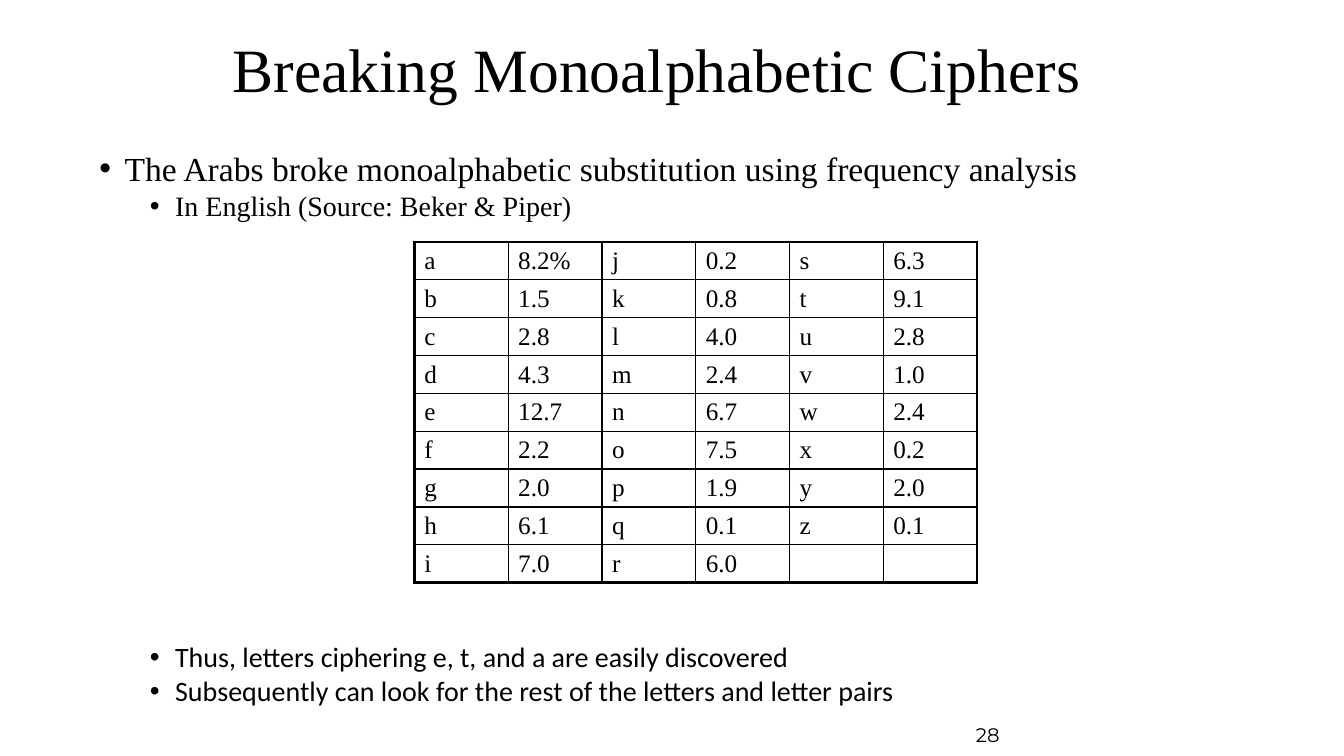
from pptx import Presentation
from pptx.dml.color import RGBColor as Rgb
from pptx.enum.text import MSO_ANCHOR as Anchor
from pptx.oxml import parse_xml
from pptx.oxml.ns import nsdecls
from pptx.util import Pt

INK = {"text": "000000", "line": "000000"}
SERIF, SANS, LABEL = "Times New Roman", "Calibri", "Montserrat"

# text, level, size, font, space before
POINTS = [
    ("The Arabs broke monoalphabetic substitution using frequency analysis",
     0, 24, SERIF, 10),
    ("In English (Source: Beker & Piper)", 1, 20, SERIF, 5),
    ("Thus, letters ciphering e, t, and a are easily discovered",
     1, 20, SANS, 303),
    ("Subsequently can look for the rest of the letters and letter pairs",
     1, 20, SANS, 5),
]
RATES = ("8.2% 1.5 2.8 4.3 12.7 2.2 2.0 6.1 7.0 "
         "0.2 0.8 4.0 2.4 6.7 7.5 1.9 0.1 6.0 "
         "6.3 9.1 2.8 1.0 2.4 0.2 2.0 0.1").split()
FREQS = list(zip("abcdefghijklmnopqrstuvwxyz", RATES))
ROWS, COLS = 9, 6


def style(par, size, face):
    font = par.font
    font.size, font.name = Pt(size), face
    font.color.rgb = Rgb.from_string(INK["text"])


def add_box(slide, box, anchor):
    frame = slide.shapes.add_textbox(*map(Pt, box)).text_frame
    frame.word_wrap = True
    frame.vertical_anchor = anchor
    return frame


def add_line(slide, box, text, size, face, spacing=1.0):
    """Place a single vertically centred line of text."""
    par = add_box(slide, box, Anchor.MIDDLE).paragraphs[0]
    par.text, par.line_spacing = text, spacing
    style(par, size, face)


def add_points(slide, box):
    frame = add_box(slide, box, Anchor.TOP)
    for i, (text, level, size, face, gap) in enumerate(POINTS):
        par = frame.add_paragraph() if i else frame.paragraphs[0]
        par.text, par.level = text, level
        par.line_spacing, par.space_before = 0.8, Pt(gap)
        style(par, size, face)
        props = par._p.get_or_add_pPr()
        props.set("marL", str(Pt(18 + 36 * level)))
        props.set("indent", str(Pt(-18)))
        marks = [f'<a:buFont {nsdecls("a")} typeface="Arial"/>',
                 f'<a:buChar {nsdecls("a")} char="•"/>']
        at = 2  # after line spacing and space before
        for mark in marks:
            props.insert(at, parse_xml(mark))
            at += 1


def add_edges(cell, row, col):
    """Draw thin cell borders, thick where they meet the table's rim."""
    rim = {"L": col == 0, "R": col == COLS - 1,
           "T": row == 0, "B": row == ROWS - 1}
    props = cell._tc.get_or_add_tcPr()
    for at, (side, thick) in enumerate(rim.items()):
        width = Pt(2.25 if thick else 1)
        props.insert(at, parse_xml(
            f'<a:ln{side} {nsdecls("a")} w="{width}"><a:solidFill>'
            f'<a:srgbClr val="{INK["line"]}"/></a:solidFill></a:ln{side}>'))


def add_freqs(slide, box):
    """Fill the table downwards, one letter and rate pair of columns at a time."""
    table = slide.shapes.add_table(ROWS, COLS, *map(Pt, box)).table
    table.first_row = table.horz_banding = False
    for line in table.rows:
        line.height = Pt(box[3] / ROWS)
    for row in range(ROWS):
        for col in range(COLS):
            cell = table.cell(row, col)
            item = col // 2 * ROWS + row
            if item < len(FREQS):
                cell.text = FREQS[item][col % 2]
            style(cell.text_frame.paragraphs[0], 18, SERIF)
            cell.vertical_anchor = Anchor.MIDDLE
            cell.margin_left = cell.margin_right = Pt(7.2)
            cell.margin_top = cell.margin_bottom = Pt(2.5)
            cell.fill.background()
            add_edges(cell, row, col)


def main():
    deck = Presentation()
    deck.slide_width, deck.slide_height = Pt(960), Pt(540)
    slide = deck.slides.add_slide(deck.slide_layouts[6])
    add_line(slide, (690, 510, 150, 30), "28", 14, LABEL)
    add_line(slide, (159, 24, 675, 55), "Breaking Monoalphabetic Ciphers",
             44, SERIF, 0.9)
    add_points(slide, (64, 108, 764, 418))
    add_freqs(slide, (296, 172.8, 402, 243.6))
    deck.save("out.pptx")


if __name__ == "__main__":
    main()
